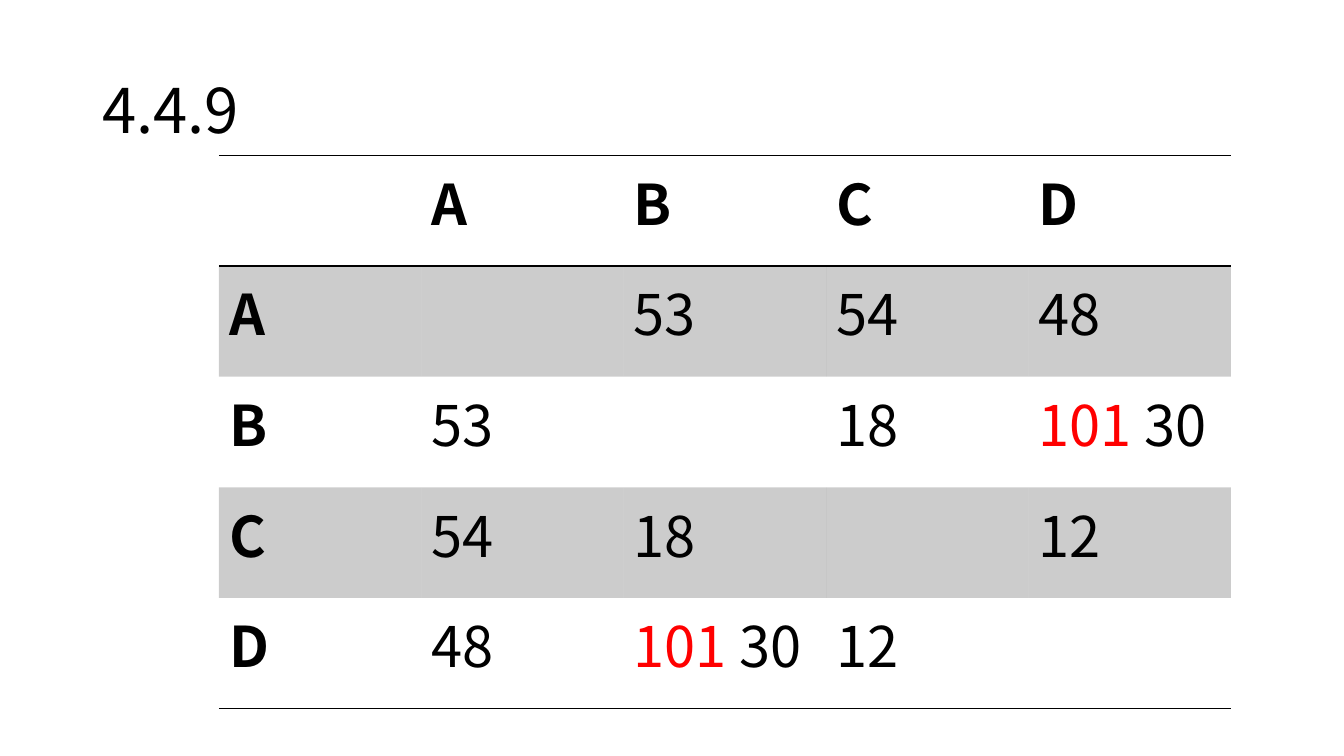
"""Build slide 4.4.9, a symmetric table of values between A, B, C and D."""
from dataclasses import dataclass

from lxml.etree import SubElement
from pptx import Presentation
from pptx.dml.color import RGBColor
from pptx.enum.text import MSO_ANCHOR
from pptx.oxml.ns import qn
from pptx.util import Pt


@dataclass(frozen=True)
class Theme:
    font: str = "Noto Sans CJK SC"
    ink: str = "000000"
    replaced: str = "FF0000"
    band_alpha: str = "20000"
    title_size: int = 44
    cell_size: int = 40
    rule_width: int = 1


theme = Theme()
ROWS = [
    ["", "A", "B", "C", "D"],
    ["A", "", "53", "54", "48"],
    ["B", "53", "", "18", "101 30"],
    ["C", "54", "18", "", "12"],
    ["D", "48", "101 30", "12", ""],
]
NO_STYLE_NO_GRID = "{2D5ABB26-0587-4C30-8999-92F81FD0307C}"


def set_font(paragraph, size, bold=False):
    paragraph.font.name = theme.font
    paragraph.font.size = Pt(size)
    paragraph.font.bold = bold
    paragraph.font.color.rgb = RGBColor.from_string(theme.ink)


def add_rule(cell, side):
    rule = SubElement(cell._tc.get_or_add_tcPr(), qn(f"a:{side}"), w=str(Pt(theme.rule_width)))
    SubElement(SubElement(rule, qn("a:solidFill")), qn("a:srgbClr"), val=theme.ink)


prs = Presentation()
prs.slide_width, prs.slide_height = Pt(960), Pt(540)
slide = prs.slides.add_slide(prs.slide_layouts[6])

title = slide.shapes.add_textbox(Pt(66), Pt(28.8), Pt(255.6), Pt(104.4)).text_frame
title.word_wrap = True
title.vertical_anchor = MSO_ANCHOR.MIDDLE
title.text = "4.4.9"
title.paragraphs[0].line_spacing = 0.9
set_font(title.paragraphs[0], theme.title_size)

matrix = slide.shapes.add_table(
    len(ROWS), len(ROWS[0]), Pt(156.4), Pt(110.9), Pt(722.9), Pt(395.3)
).table
matrix._tbl.tblPr.find(qn("a:tableStyleId")).text = NO_STYLE_NO_GRID

for r, values in enumerate(ROWS):
    for c, value in enumerate(values):
        cell = matrix.cell(r, c)
        if r == 0:
            add_rule(cell, "lnT")
        if r in (0, len(ROWS) - 1):
            add_rule(cell, "lnB")
        if r % 2:
            cell.fill.solid()
            cell.fill.fore_color.rgb = RGBColor.from_string(theme.ink)
            band = cell._tc.tcPr.find(qn("a:solidFill")).find(qn("a:srgbClr"))
            SubElement(band, qn("a:alpha"), val=theme.band_alpha)
        else:
            cell.fill.background()

        entry = cell.text_frame.paragraphs[0]
        set_font(entry, theme.cell_size, bold=r == 0 or c == 0)
        old, space, new = value.partition(" ")
        if old:
            first = entry.add_run()
            first.text = old
        if new:
            first.font.color.rgb = RGBColor.from_string(theme.replaced)
            entry.add_run().text = space + new

prs.save("out.pptx")
